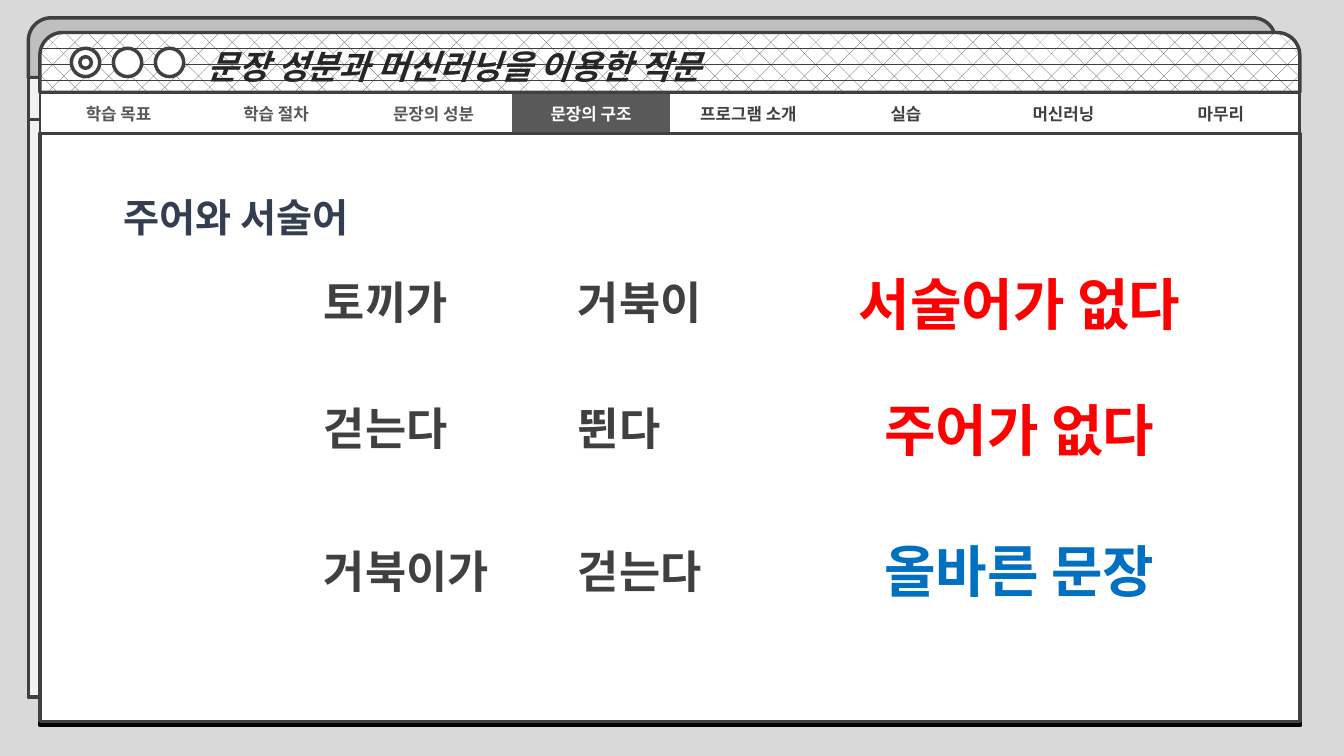
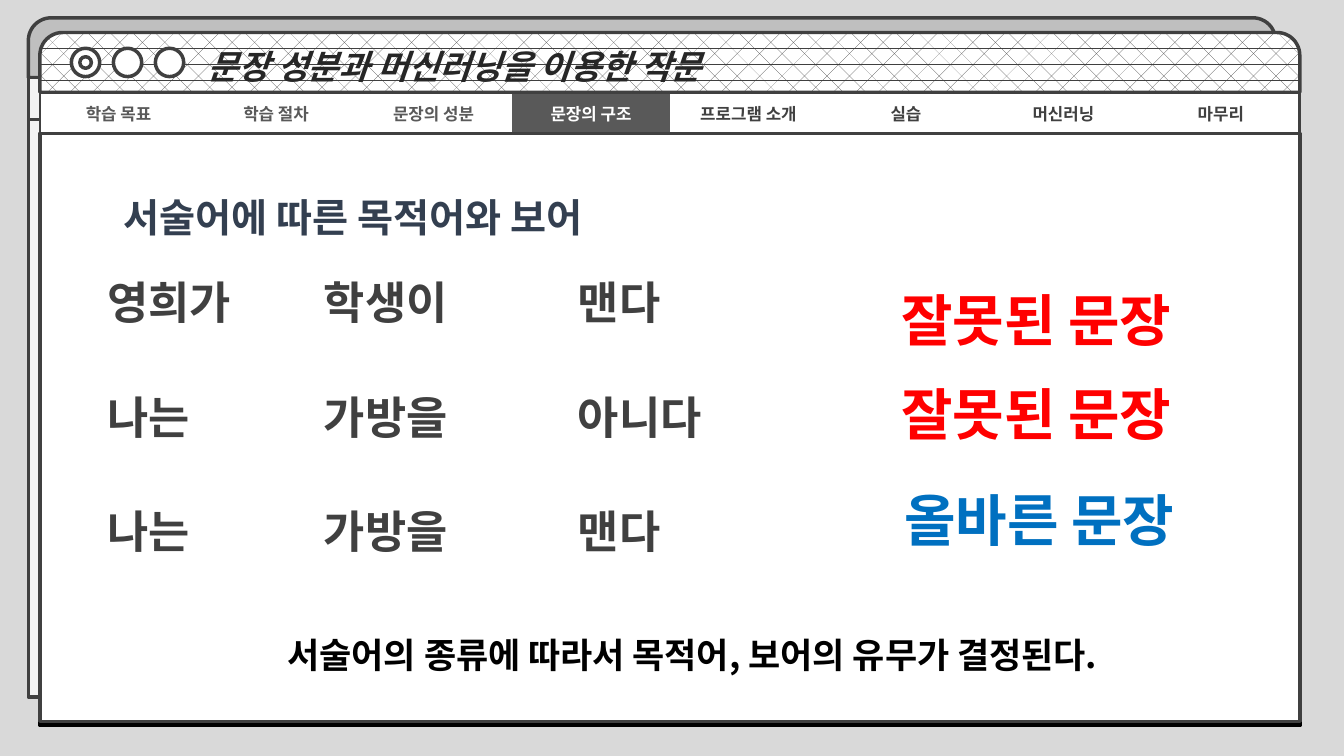
"""Build two grammar lesson slides framed as a browser window."""
from lxml.etree import SubElement as Sub
from pptx import Presentation
from pptx.dml.color import RGBColor as RGB
from pptx.enum.dml import MSO_PATTERN as PAT
from pptx.enum.shapes import MSO_SHAPE as SHAPE
from pptx.enum.text import MSO_ANCHOR as ANCHOR, MSO_AUTO_SIZE as FIT, PP_ALIGN as ALIGN
from pptx.oxml.ns import qn
from pptx.util import Pt

PX = 9525
FONT = "Noto Sans CJK KR"
DARK, GRAY, WHITE = "404040", "595959", "FFFFFF"
BAD, GOOD = "FF0000", "0070C0"
PLAIN = "{2D5ABB26-0587-4C30-8999-92F81FD0307C}"
LEFT, WIDE = 38, 1200
COLS = (93, 299, 541)
BRAND = "문장 성분과 머신러닝을 이용한 작문"
TABS = ("학습 목표", "학습 절차", "문장의 성분", "문장의 구조",
        "프로그램 소개", "실습", "머신러닝", "마무리")
LIVE = 3

PAGES = (
    dict(head="주어와 서술어",
         rows=((257, ("", "토끼가", "거북이")),
               (377, ("", "걷는다", "뛴다")),
               (513, ("", "거북이가", "걷는다"))),
         marks=((971, 252, "서술어가 없다", BAD),
                (971, 372, "주어가 없다", BAD),
                (971, 506, "올바른 문장", GOOD))),
    dict(head="서술어에 따른 목적어와 보어",
         rows=((257, ("영희가", "학생이", "맨다")),
               (366, ("나는", "가방을", "아니다")),
               (475, ("나는", "가방을", "맨다"))),
         marks=((987, 267, "잘못된 문장", BAD),
                (987, 357, "잘못된 문장", BAD),
                (990, 458, "올바른 문장", GOOD)),
         note="서술어의 종류에 따라서 목적어, 보어의 유무가 결정된다."),
)


def ink(code):
    """Turn a hex string into a colour."""
    return RGB.from_string(code)


def box(*sides):
    """Scale px lengths to EMU."""
    return [side * PX for side in sides]


def write(frame, words, size=12, color=DARK, align=ALIGN.LEFT, italic=False,
          gap=None, indent=0):
    """Fill a text frame with one bold, formatted paragraph."""
    para = frame.paragraphs[0]
    para.alignment = align
    if gap:
        para.line_spacing = gap
    if indent:
        para._p.get_or_add_pPr().set("marL", str(indent * PX))
    run = para.add_run()
    run.text = words
    font = run.font
    font.name, font.size = FONT, Pt(size)
    font.bold, font.italic = True, italic
    font.color.rgb = ink(color)
    Sub(font._element, qn("a:ea"), typeface=FONT)


def label(slide, place, words, wrap=True, **style):
    """Add a text box."""
    frame = slide.shapes.add_textbox(*box(*place)).text_frame
    frame.word_wrap = wrap
    write(frame, words, **style)


def pane(shapes, kind, place, fill=WHITE):
    """Add an outlined shape."""
    shape = shapes.add_shape(kind, *box(*place))
    shape.shadow.inherit = False
    shape.fill.solid()
    shape.fill.fore_color.rgb = ink(fill)
    shape.line.color.rgb = ink(DARK)
    shape.line.width = Pt(2.5)
    return shape


def bar(shapes, place, fill=WHITE):
    """Add a window top with two round corners."""
    shape = pane(shapes, SHAPE.ROUND_2_SAME_RECTANGLE, place, fill)
    shape.adjustments[0] = 0.38
    shape.adjustments[1] = 0
    return shape


def drop(shape):
    """Give a shape a hard black shadow below it."""
    effect = shape._element.spPr.find(qn("a:effectLst"))
    shade = Sub(effect, qn("a:outerShdw"), dist=str(Pt(3)), dir="5400000",
                algn="t", rotWithShape="0")
    Sub(shade, qn("a:srgbClr"), val="000000")


def edge(cell, sides):
    """Draw borders on the given sides of a cell."""
    props = cell._tc.get_or_add_tcPr()
    for side in sides:
        line = Sub(props, qn(f"a:ln{side}"), w=str(Pt(2.25)))
        Sub(Sub(line, qn("a:solidFill")), qn("a:srgbClr"), val=DARK)


def menu(slide):
    """Add the row of tabs with the live one filled."""
    count = len(TABS)
    table = slide.shapes.add_table(1, count, *box(LEFT, 88, WIDE, 39)).table
    table.first_row = table.horz_banding = False
    table._tbl.tblPr.find(qn("a:tableStyleId")).text = PLAIN
    for spot, name in enumerate(TABS):
        table.columns[spot].width = WIDE // count * PX
        cell = table.cell(0, spot)
        edge(cell, {0: "LTB", count - 1: "RTB"}.get(spot, "TB"))
        cell.fill.solid()
        cell.fill.fore_color.rgb = ink(GRAY if spot == LIVE else WHITE)
        cell.vertical_anchor = ANCHOR.MIDDLE
        color = WHITE if spot == LIVE else GRAY if spot < LIVE else DARK
        write(cell.text_frame, name, color=color, align=ALIGN.CENTER)


def window(slide):
    """Draw the two stacked windows and the menu."""
    fill = slide.background.fill
    fill.solid()
    fill.fore_color.rgb = ink("D9D9D9")
    back = slide.shapes.add_group_shape().shapes
    bar(back, (27, 17, 1188, 57), "BFBFBF")
    pane(back, SHAPE.RECTANGLE, (27, 114, 1188, 550), "F2F2F2")
    pane(back, SHAPE.RECTANGLE, (27, 74, 1188, 40), "F2F2F2")
    top = bar(slide.shapes, (LEFT, 31, WIDE, 57))
    top.fill.patterned()
    top.fill.pattern = PAT.DIVOT
    top.fill.fore_color.rgb = ink(DARK)
    top.fill.back_color.rgb = ink(WHITE)
    top.text_frame.vertical_anchor = ANCHOR.MIDDLE
    write(top.text_frame, BRAND, size=24, color="262626", italic=True, indent=144)
    drop(pane(slide.shapes, SHAPE.RECTANGLE, (LEFT, 127, WIDE, 560)))
    for spot in range(3):
        pane(slide.shapes, SHAPE.OVAL, (68 + 40 * spot, 46, 27, 27))
    pane(slide.shapes, SHAPE.OVAL, (76, 54, 11, 11))
    menu(slide)


def title(slide, words):
    """Place the title placeholder in front of the window."""
    shape = slide.shapes.title
    shape.element.getparent().append(shape.element)
    shape.left, shape.top, shape.width, shape.height = box(108, 157, 552, 78)
    frame = shape.text_frame
    frame.auto_size = FIT.NONE
    frame.vertical_anchor = ANCHOR.TOP
    write(frame, words, size=28, color="333F50", gap=1.5)


def page(deck, head, rows, marks, note=None):
    """Add one slide of sentence parts and verdicts."""
    slide = deck.slides.add_slide(deck.slide_layouts[5])
    window(slide)
    title(slide, head)
    for top, words in rows:
        for left, word in zip(COLS, words):
            if word:
                label(slide, (left, top, 191, 61), word, size=32)
    for mid, top, words, color in marks:
        label(slide, (mid - 188, top, 376, 74), words, wrap=False,
              size=40, color=color, align=ALIGN.CENTER)
    if note:
        label(slide, (175, 559, 969, 78), note, size=25, color="000000",
              align=ALIGN.CENTER, gap=2.0)


def main():
    """Build and save the deck."""
    deck = Presentation()
    deck.slide_width, deck.slide_height = box(1280, 720)
    for parts in PAGES:
        page(deck, **parts)
    deck.save("out.pptx")


if __name__ == "__main__":
    main()
